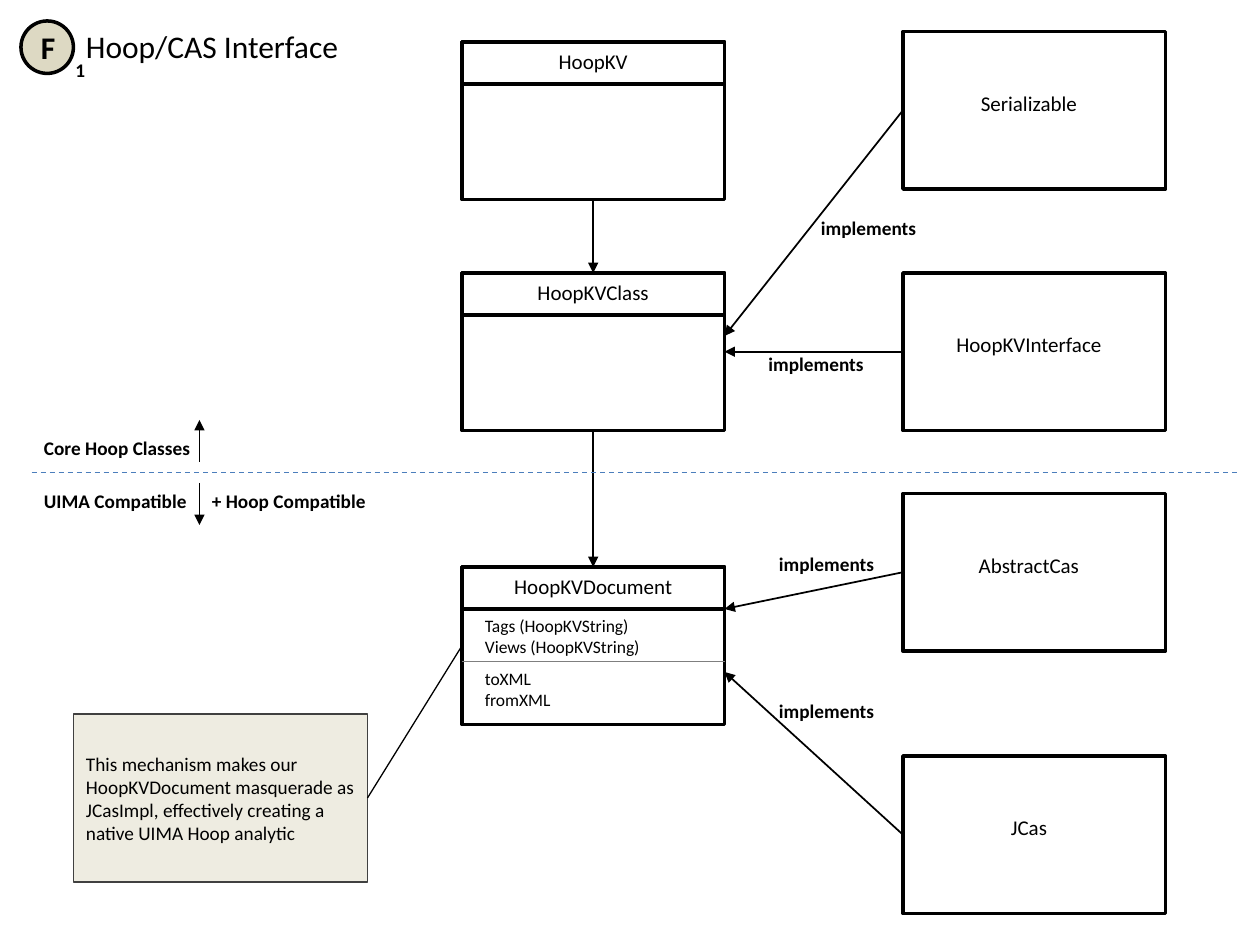
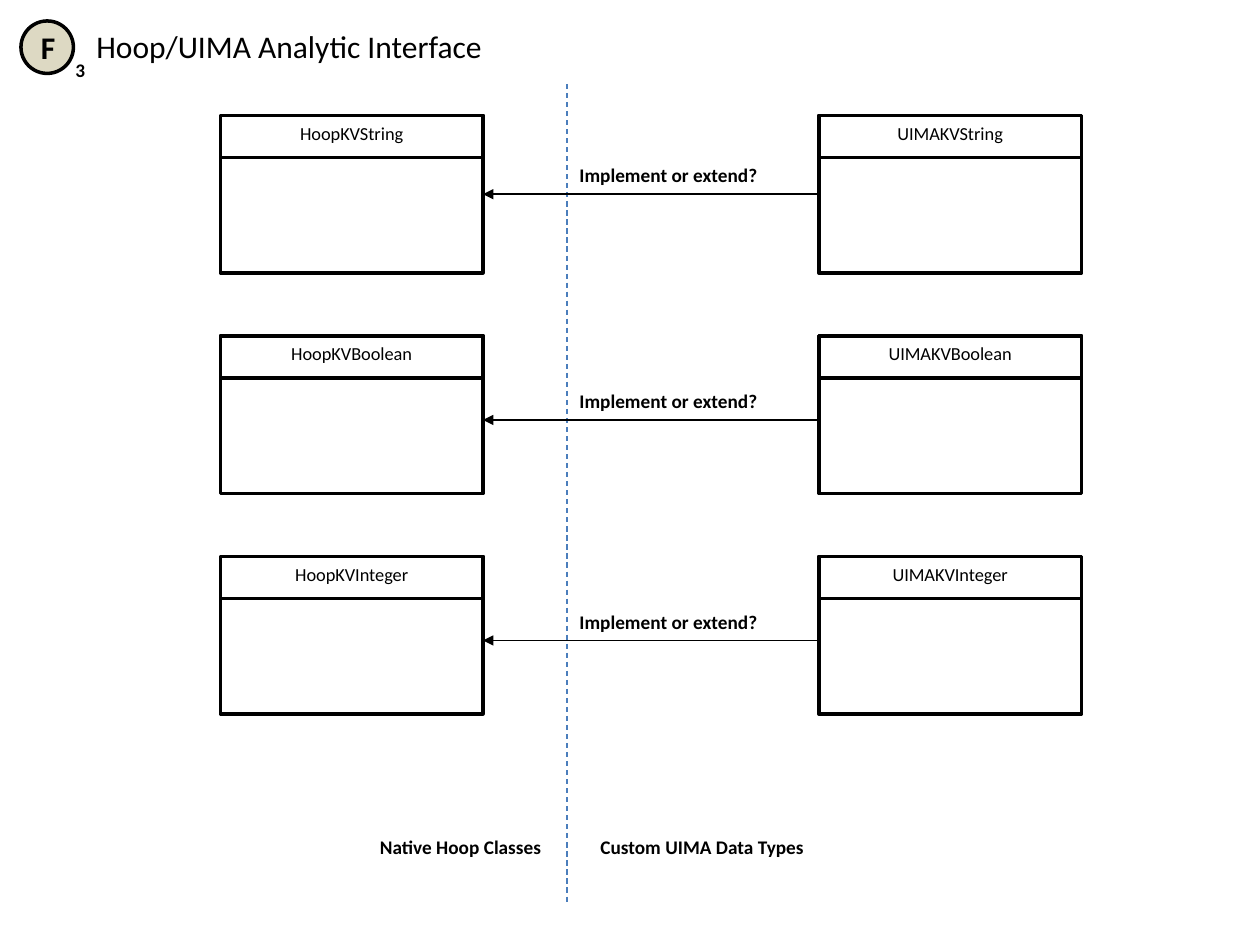
from pptx import Presentation
from pptx.dml.color import RGBColor
from pptx.enum.dml import MSO_LINE
from pptx.enum.shapes import MSO_CONNECTOR, MSO_SHAPE
from pptx.enum.text import MSO_ANCHOR, MSO_AUTO_SIZE, PP_ALIGN
from pptx.oxml.ns import qn
from pptx.util import Cm, Pt
from lxml.etree import SubElement

HUES = {"ink": "000000", "paper": "FFFFFF", "badge": "DDD9C3", "note": "EEECE1",
        "edge": "404040", "split": "4B7EBC", "rule": "7F7F7F"}
FONT = "Calibri"

# All places are counted in steps of a twelfth of an inch.
STEP = 2.54 / 12
WIDE, HIGH, HEAD = 25, 15, 4

FACES = [("AbstractCas", 47), ("JCas", 72), ("Serializable", 3), ("HoopKVInterface", 26)]
FACE_X, CLASS_X = 86, 44
CLASSES = [("HoopKVDocument", 54), ("HoopKVClass", 26), ("HoopKV", 4)]
LINKS = [(47, 58, 73, 52), (72, 64, 73, 66), (26, 33.5, 72, 33), (3, 32, 77, 20)]
FLOWS = [(41, 54), (19, 26)]
SIDES = [("UIMA Compatible", 3, 46, 16.1), ("Core Hoop Classes", 3, 41, 16.4),
         ("+ Hoop Compatible", 19, 46, 17.2)]
TURNS = [(46, 50), (44, 40)]
PARTS = [(["Tags (HoopKVString)", "Views (HoopKVString)"], 58, 17.4),
         (["toXML", "fromXML"], 63, 9.1)]
NOTE = ("This mechanism makes our HoopKVDocument masquerade as JCasImpl, "
        "effectively creating a native UIMA Hoop analytic")

TYPES = ["String", "Boolean", "Integer"]
SETS = [("HoopKV", 21), ("UIMAKV", 78)]
ASKS = [18.5, 40, 61]
FOOTS = [("Native Hoop Classes", 35, 18), ("Custom UIMA Data Types", 56, 22.1)]


def at(*nums):
    return [Cm(n * STEP) for n in nums]


def hue(name):
    return RGBColor.from_string(HUES[name])


def write(frame, lines, size, bold=False, align=PP_ALIGN.LEFT):
    for i, words in enumerate(lines):
        para = frame.paragraphs[0] if i == 0 else frame.add_paragraph()
        para.alignment = align
        run = para.add_run()
        run.text = words
        run.font.name = FONT
        run.font.size = Pt(size)
        run.font.bold = bold
        run.font.color.rgb = hue("ink")


def text(home, lines, x, y, w, size=11, bold=False, align=PP_ALIGN.LEFT, wrap=False):
    high = 0.2 * size * len(lines) + 1.2
    frame = home.add_textbox(*at(x, y, w, high)).text_frame
    frame.word_wrap = wrap
    frame.auto_size = MSO_AUTO_SIZE.SHAPE_TO_FIT_TEXT
    write(frame, lines, size, bold, align)


def shape(home, x, y, w, h, fill=None, edge="ink", width=2, kind=MSO_SHAPE.RECTANGLE):
    item = home.add_shape(kind, *at(x, y, w, h))
    item.shadow.inherit = False
    if fill:
        item.fill.solid()
        item.fill.fore_color.rgb = hue(fill)
    else:
        item.fill.background()
    item.line.color.rgb = hue(edge)
    item.line.width = Pt(width)
    item.text_frame.vertical_anchor = MSO_ANCHOR.MIDDLE
    return item


def line(home, x1, y1, x2, y2, color="ink", width=1, arrow=True, dash=False):
    item = home.add_connector(MSO_CONNECTOR.STRAIGHT, *at(x1, y1, x2, y2))
    item.line.color.rgb = hue(color)
    item.line.width = Pt(width)
    if dash:
        item.line.dash_style = MSO_LINE.DASH
    props = item._element.spPr
    if arrow:
        SubElement(props.find(qn("a:ln")), qn("a:tailEnd"), type="triangle")
    SubElement(props, qn("a:effectLst"))


def face(home, name, x, y):
    group = home.add_group_shape().shapes
    shape(group, x, y, WIDE, HIGH, "paper")
    text(group, [name], x + 3, y + 5, 18, 12, align=PP_ALIGN.CENTER, wrap=True)


def card(home, name, x, y, size):
    group = home.add_group_shape().shapes
    shape(group, x, y, WIDE, HIGH, "paper")
    text(group, [name], x, y, WIDE, size, align=PP_ALIGN.CENTER, wrap=True)
    shape(group, x, y, WIDE, HEAD)


def start(deck, mark, title, x, w):
    home = deck.slides.add_slide(deck.slide_layouts[6]).shapes
    badge = shape(home, 2, 2, 5, 5, "badge", kind=MSO_SHAPE.OVAL)
    write(badge.text_frame, ["F"], 18, True, PP_ALIGN.CENTER)
    text(home, [mark], 6, 5, 3.4, bold=True)
    text(home, [title], x, 2, w, 18)
    return home


def draw_cas(deck):
    home = start(deck, "1", "Hoop/CAS Interface", 7, 26.8)
    for name, y in FACES:
        face(home, name, FACE_X, y)
    for y, end, x, top in LINKS:
        line(home, FACE_X, y + HIGH / 2, CLASS_X + WIDE, end)
        text(home, ["implements"], x, top, 11.6, bold=True)
    note = shape(home, 7, 68, 28, 16, "note", "edge", 1)
    write(note.text_frame, [NOTE], 11)
    line(home, 35, 76, CLASS_X, 61.5, width=0.75, arrow=False)
    mid = CLASS_X + WIDE / 2
    for top, end in FLOWS:
        line(home, mid, top, mid, end)
    line(home, 3, 45, 118, 45, "split", 0.75, False, True)
    for words, x, y, w in SIDES:
        text(home, [words], x, y, w, bold=True)
    for top, end in TURNS:
        line(home, 19, top, 19, end)
    for name, y in CLASSES:
        card(home, name, CLASS_X, y, 12)
    line(home, CLASS_X, 63, CLASS_X + WIDE, 63, "rule", 0.75, False)
    for lines, y, w in PARTS:
        text(home, lines, CLASS_X + 1, y, w, 10)


def draw_types(deck):
    home = start(deck, "3", "Hoop/UIMA Analytic Interface", 8, 39.6)
    line(home, 54, 8, 54, 86, "split", 0.75, False, True)
    for lead, x in SETS:
        for i, kind in enumerate(TYPES):
            card(home, lead + kind, x, 11 + 21 * i, 10.5)
    for words, x, w in FOOTS:
        text(home, [words], x, 79, w, bold=True)
    for y in ASKS:
        text(home, ["Implement or extend?"], 54, y - 3.5, 19.6, bold=True)
        line(home, SETS[1][1], y, SETS[0][1] + WIDE, y)


deck = Presentation()
deck.slide_width, deck.slide_height = Cm(25.4), Cm(19.05)
draw_cas(deck)
draw_types(deck)
deck.save("out.pptx")
